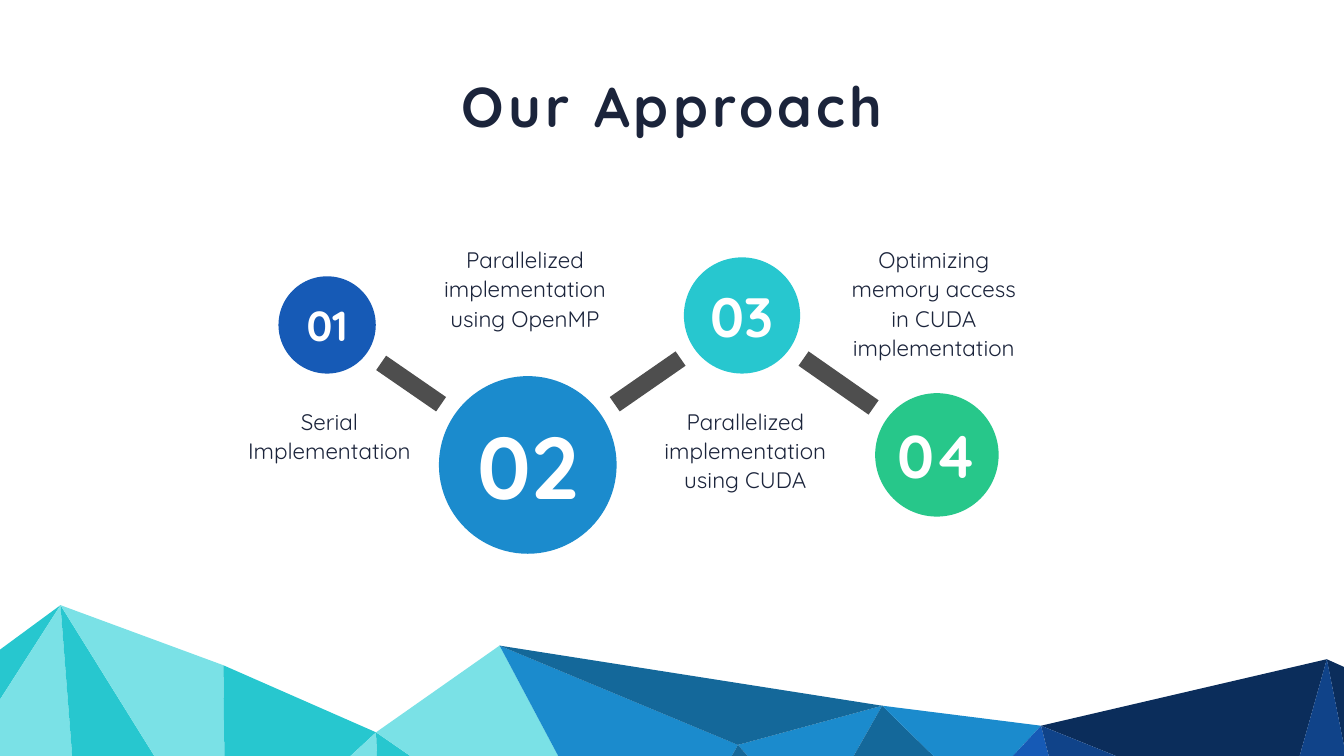
from typing import NamedTuple

from lxml.etree import SubElement
from pptx import Presentation
from pptx.dml.color import RGBColor
from pptx.enum.shapes import MSO_CONNECTOR, MSO_SHAPE
from pptx.enum.text import MSO_ANCHOR, MSO_AUTO_SIZE, PP_ALIGN
from pptx.oxml.ns import qn
from pptx.util import Inches, Pt

FONT, INK, BAR, WHITE = "Quicksand", "1B243B", "4E4E4E", "FFFFFF"
AQUA, MIST, SKY, TEAL = "27C7CF", "7AE1E6", "1B8BCD", "14689A"
ROYAL, NAVY, COBALT, GREEN = "165AB6", "0B2D5B", "104389", "27C78A"

prs = Presentation()
prs.slide_width, prs.slide_height = Inches(26.66), Inches(15)
# Grid of 100 columns by 100 rows
COL, ROW = prs.slide_width / 100, prs.slide_height / 100


class Step(NamedTuple):
    number: str
    cx: float
    cy: float
    diameter: float  # in rows
    size: int
    color: str
    caption: str
    left: float
    top: float
    lines: int


class Bar(NamedTuple):
    x1: float
    y1: float
    x2: float
    y2: float


class Facet(NamedTuple):
    color: str
    corners: str


UPPER, LOWER = 31.87, 53.27
STEPS = [
    Step("01", 24.34, 42.98, 12.87, 60, ROYAL,
         "Serial Implementation", 17.37, LOWER, 2),
    Step("02", 39.27, 61.5, 23.5, 125, SKY,
         "Parallelized implementation using OpenMP", 31.92, UPPER, 3),
    Step("03", 55.21, 41.73, 15.37, 79, AQUA,
         "Parallelized implementation using CUDA", 48.31, LOWER, 3),
    Step("04", 69.71, 60.17, 16.33, 86, GREEN,
         "Optimizing memory access in CUDA implementation", 62.34, UPPER, 4),
]
BARS = [Bar(28.36, 48, 32.82, 53.47), Bar(45.74, 53.47, 50.64, 47.43),
        Bar(59.79, 47.43, 65, 53.9)]

# Corners shared by the mountain facets; those named f lie on the foot line
FOOT = 110.9
POINTS = {
    "left_high": (0, 85.93), "left_low": (0, 92.53), "peak1": (4.5, 80.05),
    "ridge1": (16.62, 88), "valley": (27.98, 96.87), "peak2": (37.17, 85.4),
    "notch": (54.91, 98.53), "dip": (60.39, 109.8), "ridge2": (65.64, 93.35),
    "hollow": (72.54, 105.35), "saddle": (77.46, 96), "deep": (95.31, 108.8),
    "peak3": (98.72, 87.2), "right_high": (100.56, 88.67),
    "right_low": (100.56, 103.67),
}
FEET = [0, 5.85, 15.3, 16.77, 19.43, 28.28, 39.4, 44.79, 51.05, 58.93,
        76.07, 79.6, 91.56, 97.52, 100.56]
POINTS.update({f"f{i}": (x, FOOT) for i, x in enumerate(FEET)})

FACETS = [
    Facet(AQUA, "peak1 left_high left_low"),
    Facet(MIST, "f1 peak1 left_low f0"),
    Facet(AQUA, "f2 peak1 f1"),
    Facet(MIST, "f3 ridge1 peak1 f2"),
    Facet(AQUA, "f4 valley ridge1 f3"),
    Facet(MIST, "f5 valley f4"),
    Facet(AQUA, "f6 valley f5"),
    Facet(MIST, "f7 peak2 valley f6"),
    Facet(SKY, "f8 notch peak2 f7"),
    Facet(SKY, "notch dip ridge2"),
    Facet(TEAL, "dip hollow ridge2"),
    Facet(SKY, "ridge2 hollow saddle"),
    Facet(ROYAL, "f11 saddle hollow f10"),
    Facet(NAVY, "saddle deep peak3"),
    Facet(COBALT, "f12 deep saddle f11"),
    Facet(NAVY, "right_high peak3 right_low"),
    Facet(COBALT, "f14 right_low peak3 deep f13"),
    Facet(TEAL, "peak2 ridge2 notch"),
    Facet(TEAL, "f9 dip notch f8"),
]


def rgb(color: str) -> RGBColor:
    return RGBColor.from_string(color)


def paint(sp, color: str) -> None:
    sp.shadow.inherit = False
    sp.fill.solid()
    sp.fill.fore_color.rgb = rgb(color)
    sp.line.fill.background()


def write(tf, text: str, size: int, color: str, bold: bool = False):
    tf.text = text
    p = tf.paragraphs[0]
    p.alignment = PP_ALIGN.CENTER
    r = p.runs[0]
    r.font.name, r.font.size, r.font.bold = FONT, Pt(size), bold
    r.font.color.rgb = rgb(color)
    return p


def place(sp, x: float, y: float, w: float, h: float) -> None:
    sp.left, sp.top = round(x * COL), round(y * ROW)
    sp.width, sp.height = round(w * COL), round(h * ROW)


def draw_facet(s, facet: Facet) -> None:
    points = [(round(x * COL), round(y * ROW))
              for x, y in map(POINTS.get, facet.corners.split())]
    builder = s.shapes.build_freeform(*points[0])
    builder.add_line_segments(points[1:])
    paint(builder.convert_to_shape(), facet.color)


def draw_bar(s, bar: Bar) -> None:
    line = s.shapes.add_connector(
        MSO_CONNECTOR.STRAIGHT, round(bar.x1 * COL), round(bar.y1 * ROW),
        round(bar.x2 * COL), round(bar.y2 * ROW))
    line.line.color.rgb = rgb(BAR)
    line.line.width = Pt(25)
    SubElement(line._element.spPr, qn("a:effectLst"))


def draw_step(s, step: Step) -> None:
    # Numbered circle
    d = round(step.diameter * ROW)
    sp = s.shapes.add_shape(
        MSO_SHAPE.OVAL, round(step.cx * COL - d / 2),
        round(step.cy * ROW - d / 2), d, d)
    paint(sp, step.color)
    tf = sp.text_frame
    tf.word_wrap = False
    tf.vertical_anchor = MSO_ANCHOR.MIDDLE
    write(tf, step.number, step.size, WHITE, bold=True)
    # Caption
    box = s.shapes.add_textbox(0, 0, 0, 0)
    place(box, step.left, step.top, 14.29, 4.13 * step.lines)
    box.text_frame.word_wrap = True
    write(box.text_frame, step.caption, 32, INK).line_spacing = Pt(42)


def main() -> None:
    s = prs.slides.add_slide(prs.slide_layouts[5])

    # Mountain range
    for facet in FACETS:
        draw_facet(s, facet)

    # Title
    title = s.shapes.title
    place(title, 33.72, 9.07, 32.67, 9.67)
    tf = title.text_frame
    p = write(tf, "Our Approach", 80, INK, bold=True)
    p.runs[0].font._element.set("spc", "600")
    tf.word_wrap = False
    tf.auto_size = MSO_AUTO_SIZE.NONE
    tf.vertical_anchor = MSO_ANCHOR.TOP

    # Chain of steps
    for bar in BARS:
        draw_bar(s, bar)
    for step in STEPS:
        draw_step(s, step)

    prs.save("out.pptx")


if __name__ == "__main__":
    main()
